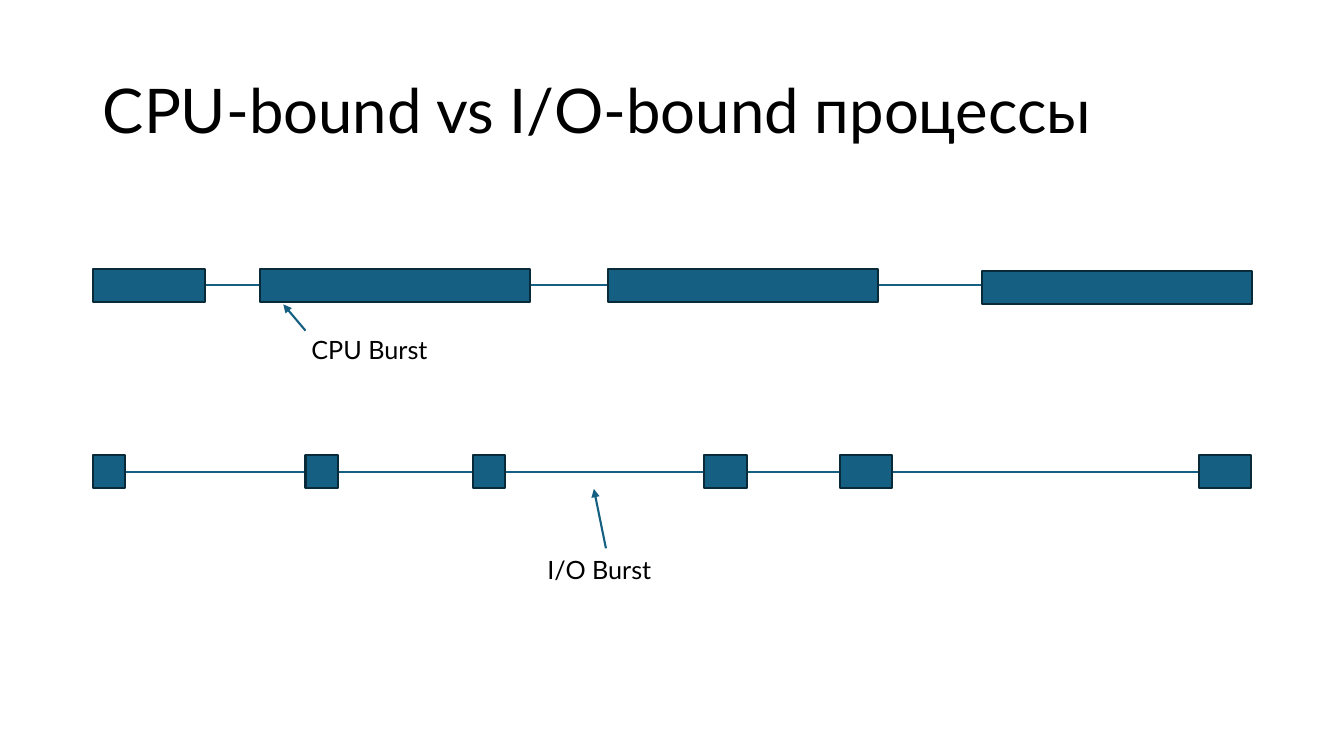
"""Build a slide comparing CPU-bound and I/O-bound processes."""
from lxml import etree
from pptx import Presentation
from pptx.dml.color import RGBColor
from pptx.enum.shapes import MSO_CONNECTOR as Connector, MSO_SHAPE as Shape
from pptx.enum.text import MSO_ANCHOR as Anchor, MSO_AUTO_SIZE as AutoSize, PP_ALIGN as Align
from pptx.oxml.ns import qn
from pptx.util import Inches, Pt

TITLE = "CPU-bound vs I/O-bound процессы"
FONT, BLACK, TEAL, DARK = "Lato", "000000", "156082", "092A39"
LEFT, RIGHT, BURST_HEIGHT = 0.92, 12.42, 0.33

TIMELINES = [
    {
        "axis": 2.83,
        "bursts": [(0.92, 2.67, 1.11), (2.58, 2.67, 2.68), (6.03, 2.67, 2.68), (9.74, 2.69, 2.68)],
        "label": ("CPU Burst", 2.99, 3.27),
        "arrow": ((3.03, 3.28), (2.81, 3.02)),
    },
    {
        "axis": 4.68,
        "bursts": [(0.92, 4.51, 0.32), (3.03, 4.51, 0.32), (4.69, 4.51, 0.32),
                   (6.98, 4.51, 0.43), (8.33, 4.51, 0.52), (11.89, 4.51, 0.52)],
        "label": ("I/O Burst", 5.33, 5.45),
        "arrow": ((6.01, 5.44), (5.89, 4.85)),
    },
]


def color(value):
    return RGBColor.from_string(value)


def write(box, text, size=18, anchor=Anchor.TOP, spacing=1.0, fit=AutoSize.NONE):
    frame = box.text_frame
    frame.word_wrap = True
    frame.auto_size = fit
    frame.vertical_anchor = anchor
    para = frame.paragraphs[0]
    para.alignment = Align.LEFT
    para.line_spacing = spacing
    span = para.add_run()
    span.text = text
    span.font.name = FONT
    span.font.size = Pt(size)
    span.font.color.rgb = color(BLACK)


def add_line(page, start, end, arrow=False):
    points = [Inches(value) for value in (*start, *end)]
    line = page.shapes.add_connector(Connector.STRAIGHT, *points)
    line.line.color.rgb = color(TEAL)
    line.line.width = Pt(1.5)
    if arrow:
        etree.SubElement(line.line._get_or_add_ln(), qn("a:tailEnd"), type="triangle")
    etree.SubElement(line._element.spPr, qn("a:effectLst"))


def add_burst(page, left, top, width):
    burst = page.shapes.add_shape(
        Shape.RECTANGLE, Inches(left), Inches(top), Inches(width), Inches(BURST_HEIGHT))
    burst.shadow.inherit = False
    burst.fill.solid()
    burst.fill.fore_color.rgb = color(TEAL)
    burst.line.color.rgb = color(DARK)
    burst.line.width = Pt(1.5)


def add_timeline(page, axis, bursts, label, arrow):
    add_line(page, (LEFT, axis), (RIGHT, axis))
    for burst in bursts:
        add_burst(page, *burst)
    text, left, top = label
    box = page.shapes.add_textbox(Inches(left), Inches(top), Inches(1.85), Inches(0.4))
    write(box, text, fit=AutoSize.SHAPE_TO_FIT_TEXT)
    add_line(page, *arrow, arrow=True)


def main():
    deck = Presentation()
    deck.slide_width, deck.slide_height = Inches(13.33), Inches(7.5)
    page = deck.slides.add_slide(deck.slide_layouts[5])
    title = page.shapes.title
    title.left, title.top = Inches(LEFT), Inches(0.4)
    title.width, title.height = Inches(RIGHT - LEFT), Inches(1.45)
    write(title, TITLE, size=44, anchor=Anchor.MIDDLE, spacing=0.9)
    for timeline in TIMELINES:
        add_timeline(page, **timeline)
    deck.save("out.pptx")


if __name__ == "__main__":
    main()
